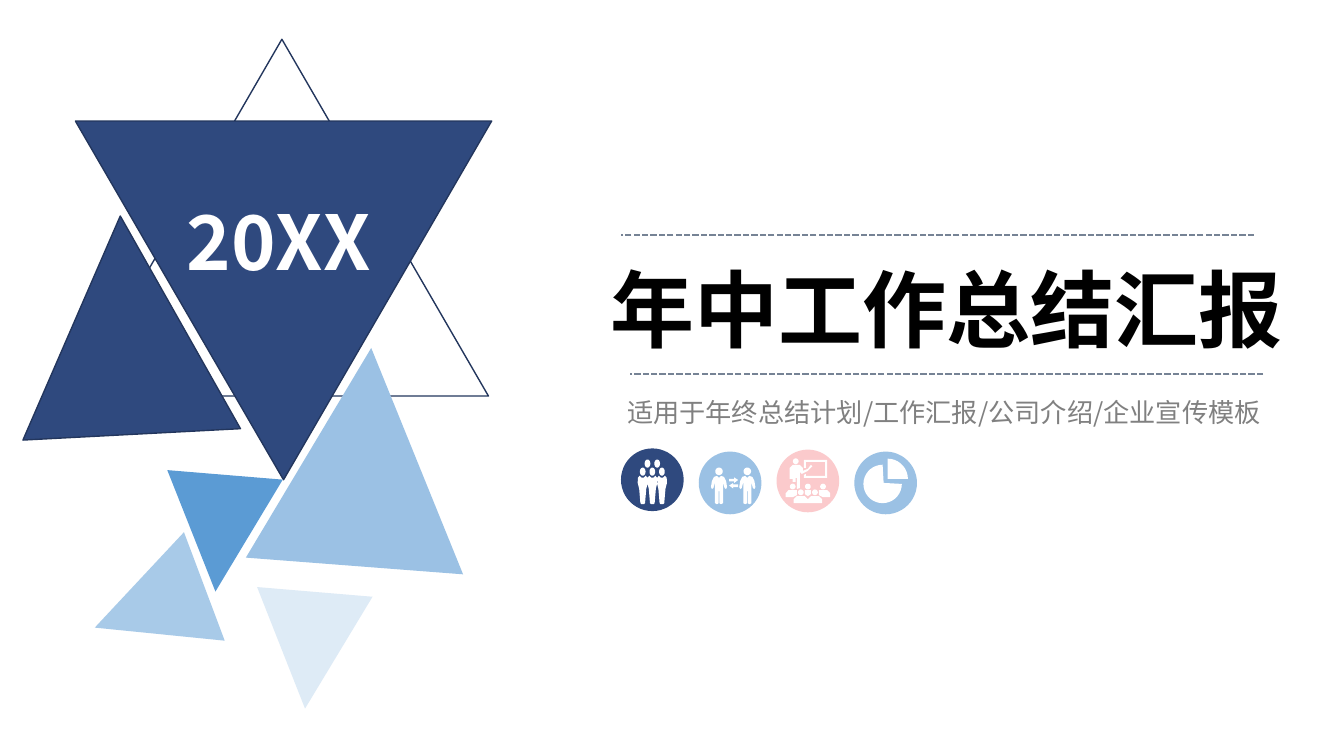
from math import cos, radians, sin

from lxml.etree import SubElement
from pptx import Presentation
from pptx.dml.color import RGBColor
from pptx.enum.dml import MSO_LINE
from pptx.enum.shapes import MSO_CONNECTOR, MSO_SHAPE
from pptx.enum.text import MSO_ANCHOR, MSO_AUTO_SIZE, PP_ALIGN
from pptx.oxml.ns import qn
from pptx.util import Cm, Pt

FONT = "Noto Sans CJK SC"
COLOURS = {
    "navy": "2F497E",
    "outline": "23365D",
    "blue": "5B9BD4",
    "light": "9BC1E4",
    "pink": "FBCACC",
    "rule": "768395",
    "title": "000000",
    "subtitle": "808080",
    "white": "FFFFFF",
}
DISC = 1.58  # diameter in cm
GRID = 62  # glyph units across a disc


def colour(name):
    return RGBColor.from_string(COLOURS[name])


def paint(shape, fill=None, line=None, opacity=100):
    shape.shadow.inherit = False
    if fill:
        shape.fill.solid()
        shape.fill.fore_color.rgb = colour(fill)
        if opacity < 100:
            solid = shape.fill._xPr.find(qn("a:solidFill"))
            SubElement(solid[0], qn("a:alpha"), val=str(opacity * 1000))
    else:
        shape.fill.background()
    if line:
        shape.line.color.rgb = colour(line)
        shape.line.width = Pt(1)
    else:
        shape.line.fill.background()


def write(shape, text, size, ink, bold=False, align=PP_ALIGN.CENTER, wrap=True):
    frame = shape.text_frame
    frame.text = text
    frame.word_wrap = wrap
    frame.auto_size = MSO_AUTO_SIZE.SHAPE_TO_FIT_TEXT
    frame.vertical_anchor = MSO_ANCHOR.TOP
    paragraph = frame.paragraphs[0]
    paragraph.alignment = align
    font = paragraph.font
    font.name, font.size, font.bold = FONT, Pt(size), bold
    font.color.rgb = colour(ink)
    properties = paragraph._p.pPr.find(qn("a:defRPr"))
    SubElement(properties, qn("a:ea"), typeface=FONT)


def add_triangles(slide, left, top):
    """Place the triangle cluster and the year on it."""
    triangles = [
        # x, y, width, height, rotation, fill, line, opacity
        (1.47, 0, 10.41, 8.99, 0, None, "outline", 100),
        (1.47, 2.06, 10.49, 9.04, 180, "navy", "outline", 100),
        (0, 4.45, 5.49, 5.51, 357, "navy", "outline", 100),
        (5.97, 7.77, 5.49, 5.51, 4.4, "light", None, 100),
        (3.66, 10.97, 2.92, 2.95, 184.7, "blue", None, 100),
        (1.88, 12.83, 2.92, 2.95, 249.4, "blue", None, 53),
        (5.92, 13.92, 2.92, 2.95, 184.8, "blue", None, 20),
    ]
    for x, y, width, height, rotation, fill, line, opacity in triangles:
        triangle = slide.shapes.add_shape(
            MSO_SHAPE.ISOSCELES_TRIANGLE, Cm(left + x), Cm(top + y), Cm(width), Cm(height))
        triangle.rotation = rotation
        paint(triangle, fill, line, opacity)
    year = slide.shapes.add_textbox(Cm(left + 4.02), Cm(top + 3.79), Cm(6.1), Cm(2.57))
    write(year, "20XX", 54, "white", bold=True, align=PP_ALIGN.LEFT)


def add_heading(slide, left, top, width):
    """Place the title between two dashed rules, with the subtitle below."""
    for x, y in [(0.82, 3.5), (0.59, 0)]:
        rule = slide.shapes.add_connector(
            MSO_CONNECTOR.STRAIGHT, Cm(left + x + 15.95), Cm(top + y), Cm(left + x), Cm(top + y))
        rule.line.color.rgb = colour("rule")
        rule.line.width = Pt(1.5)
        rule.line.dash_style = MSO_LINE.SQUARE_DOT
        SubElement(rule._element.spPr, qn("a:effectLst"))
    title = slide.shapes.title
    title.left, title.top = Cm(left), Cm(top + 0.43)
    title.width, title.height = Cm(width), Cm(2.82)
    write(title, "年中工作总结汇报", 60, "title", bold=True, wrap=False)
    subtitle = slide.shapes.add_textbox(
        Cm(left + 0.21), Cm(top + 3.94), Cm(width - 0.56), Cm(1.07))
    write(subtitle, "适用于年终总结计划/工作汇报/公司介绍/企业宣传模板", 18.7, "subtitle")


def arc(x, y, radius_x, radius_y, start=0, end=360):
    angles = [radians(degree) for degree in range(start, end + 1, 10)]
    return [(x + radius_x * cos(angle), y + radius_y * sin(angle)) for angle in angles]


def mirrored(x, half):
    """Outline of a figure symmetric about x, from its right half."""
    return [(x + dx, y) for dx, y in half] + [(x - dx, y) for dx, y in reversed(half)]


def team_glyph():
    body = [(1, 29), (3, 27), (4.7, 29), (5, 34), (3.5, 40), (2.3, 54), (1.5, 55)]
    heads = [(21.5, 23), (31, 23), (40.5, 23), (26.2, 15), (35.8, 15)]
    return ([mirrored(x, body) for x in (21.5, 31, 40.5)]
            + [arc(x, y, 2.8, 4) for x, y in heads])


def exchange_glyph():
    body = [(0, 26), (2, 24), (5, 25), (7, 29), (8, 35), (7, 37), (5.5, 36), (4, 30),
            (4, 51), (2, 52), (0.3, 51), (0.3, 39)]
    forward = [(39, 28), (35, 25.5), (35, 27), (30, 27), (30, 29.5), (35, 29.5), (35, 31)]
    backward = [(69 - x, y + 5.5) for x, y in forward]
    people = [part for x in (20, 48)
              for part in (mirrored(x, body), arc(x, 19.5, 3.7, 3.7))]
    return people + [forward, backward]


def training_glyph():
    board = [(27, 18), (27, 10), (50, 10), (50, 28), (27, 28), (27, 25), (29, 24),
             (29, 26), (48, 26), (48, 12), (29, 12), (29, 18)]
    teacher = [(16, 15), (23, 15), (26, 18), (26, 21), (31, 19), (34, 15), (35.5, 16.5),
               (31, 21), (25, 24), (23, 22), (23, 38), (20, 39), (20, 28), (19, 28),
               (19, 32), (16, 32), (16, 29), (13, 29), (13, 18)]
    side = [(9, 47), (9, 43), (12, 40), (20, 40), (20, 45), (16, 47)]
    opposite = [(GRID - x, y) for x, y in side]
    middle = mirrored(31, [(3, 40), (3, 44), (0, 46)])
    front = mirrored(31, [(0, 49), (3, 46), (11, 46), (14, 49), (14, 53)])
    heads = [(19, 11.5), (16, 36.5), (31, 36.5), (46, 36.5), (24, 42.2), (38, 42.2)]
    return ([board, teacher, side, opposite, middle, front]
            + [arc(x, y, 2.8, 2.8) for x, y in heads])


def pie_glyph():
    return [arc(28, 32, 19, 19, 0, 270) + [(29, 31)],
            arc(33, 27, 20, 20, 270, 360) + [(33, 27)]]


def add_icon(slide, left, top, fill, outlines):
    """Place a disc with a white glyph made of closed outlines."""
    group = slide.shapes.add_group_shape()
    disc = group.shapes.add_shape(MSO_SHAPE.OVAL, Cm(left), Cm(top), Cm(DISC), Cm(DISC))
    paint(disc, fill)
    unit = DISC / GRID
    contours = [[(Cm(left + x * unit), Cm(top + y * unit)) for x, y in outline]
                for outline in outlines]
    builder = group.shapes.build_freeform(*contours[0][0])
    for contour in contours:
        builder.move_to(*contour[0])
        builder.add_line_segments(contour[1:], close=True)
    paint(builder.convert_to_shape(), "white")


def add_icon_row(slide, left, top, pitch):
    icons = [
        (0, "navy", team_glyph()),
        (0.08, "light", exchange_glyph()),
        (0.03, "pink", training_glyph()),
        (0.08, "light", pie_glyph()),
    ]
    for index, (drop, fill, outlines) in enumerate(icons):
        add_icon(slide, left + index * pitch, top + drop, fill, outlines)


def main():
    presentation = Presentation()
    presentation.slide_width, presentation.slide_height = Cm(33.87), Cm(19.05)
    slide = presentation.slides.add_slide(presentation.slide_layouts[5])
    add_triangles(slide, 0.43, 0.99)
    add_heading(slide, 15.06, 5.92, 17.6)
    add_icon_row(slide, 15.65, 11.3, 1.96)
    presentation.save("out.pptx")


if __name__ == "__main__":
    main()
